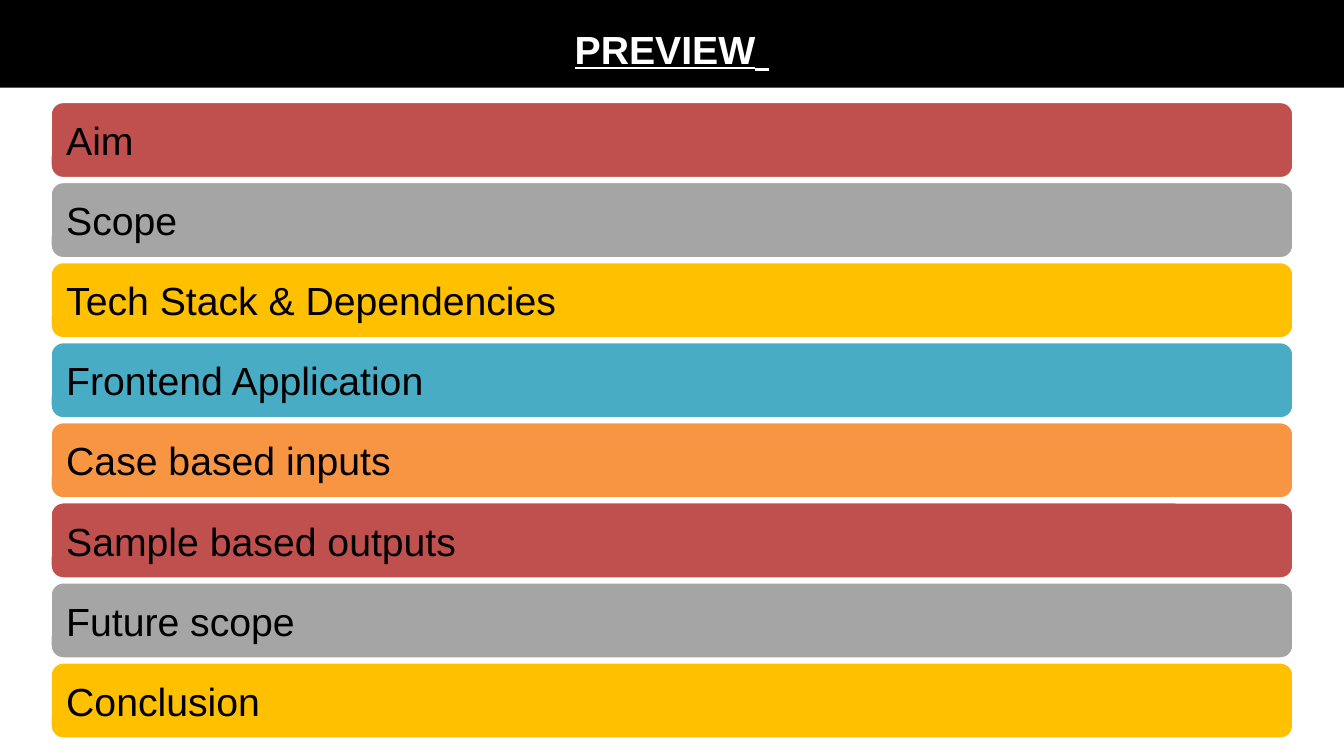
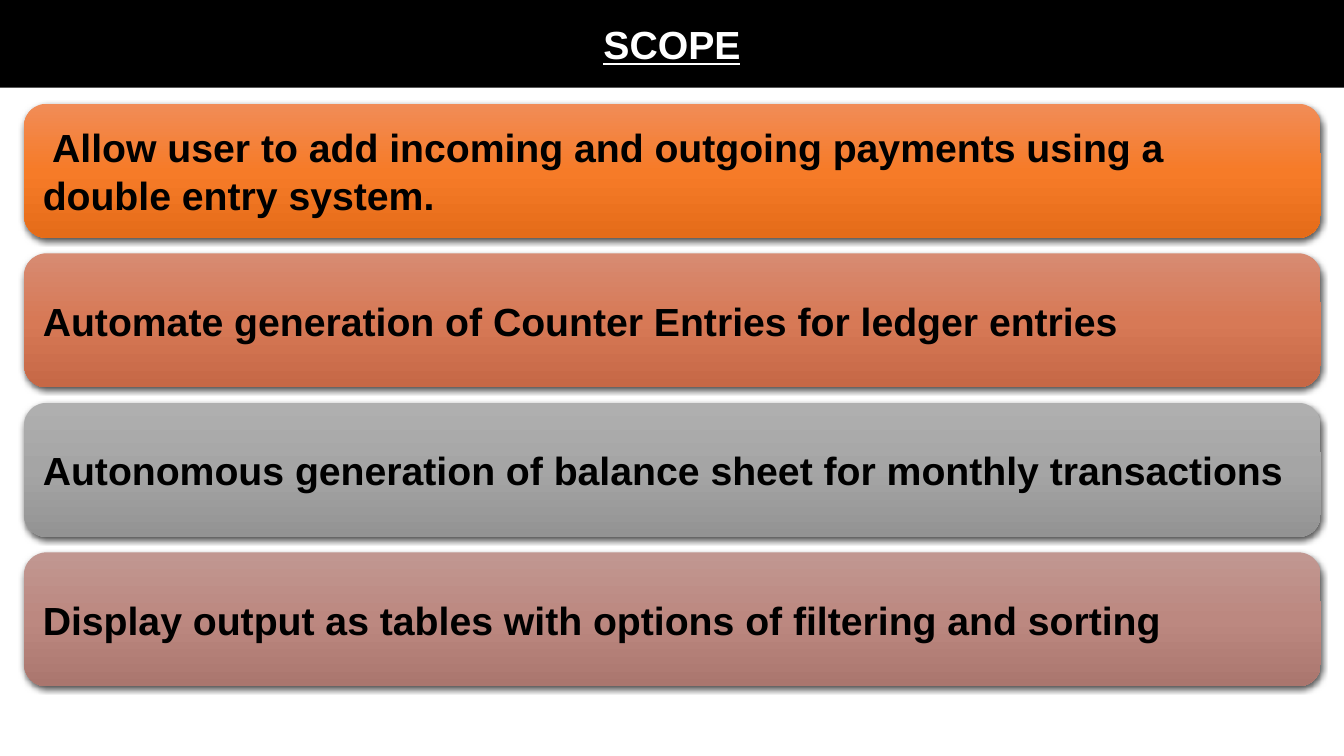
"""Build the preview and scope slides as stacks of coloured bars."""
import copy

import lxml.etree
import pptx
import pptx.dml.color
import pptx.enum.shapes
import pptx.enum.text
import pptx.oxml.ns
import pptx.util

Inches = pptx.util.Inches
Pt = pptx.util.Pt
RGB = pptx.dml.color.RGBColor.from_string
qn = pptx.oxml.ns.qn
ALIGN = pptx.enum.text.PP_ALIGN
MIDDLE = pptx.enum.text.MSO_ANCHOR.MIDDLE
NO_FIT = pptx.enum.text.MSO_AUTO_SIZE.NONE

COLORS = {
    "black": "000000",
    "white": "FFFFFF",
    "red": "BF504D",
    "gray": "A5A5A5",
    "gold": "FFC000",
    "teal": "49ACC5",
    "peach": "F79543",
    "orange": ["F18C57", "F67B28", "E56C19"],
    "coral": ["D78B72", "D77956", "C66846"],
    "silver": ["AFAFAF", "A5A5A5", "939393"],
    "rose": ["C19791", "BC8880", "AA766E"],
}
TITLE_FONT = {"name": "Arial", "size": Pt(28), "bold": True, "underline": True}
TITLE_BOX = {"left": 0, "top": 0, "width": Inches(13.33), "height": Inches(0.87)}
FRAME = {"word_wrap": True, "auto_size": NO_FIT, "vertical_anchor": MIDDLE}
INSETS = dict.fromkeys(
    ["margin_left", "margin_top", "margin_right", "margin_bottom"], Inches(0.12))

SLIDES = [
    {"title": [("PREVIEW", 28), (" ", 36)],
     "left": 0.5, "width": 12.33, "height": 0.76, "first": 1.01, "last": 6.57,
     "bold": False,
     "bars": [("Aim", "red"),
              ("Scope", "gray"),
              ("Tech Stack & Dependencies", "gold"),
              ("Frontend Application", "teal"),
              ("Case based inputs", "peach"),
              ("Sample based outputs", "red"),
              ("Future scope", "gray"),
              ("Conclusion", "gold")]},
    {"title": [("SCOPE", 28)],
     "left": 0.24, "width": 12.86, "height": 1.33, "first": 1.03, "last": 5.48,
     "bold": True,
     "bars": [(" Allow user to add incoming and outgoing payments"
               " using a double entry system.", "orange"),
              ("Automate generation of Counter Entries for ledger entries", "coral"),
              ("Autonomous generation of balance sheet for monthly transactions",
               "silver"),
              ("Display output as tables with options of filtering and sorting",
               "rose")]},
]


def style(target, values):
    """Set each attribute in values on the target."""
    for name, value in values.items():
        setattr(target, name, value)


def shade(bar, tones):
    """Give a bar a three-tone fill from top to bottom and a soft shadow."""
    bar.fill.gradient()
    bar.fill.gradient_angle = 270
    stops = bar.element.find(".//" + qn("a:gsLst"))
    stops.append(copy.deepcopy(stops[0]))
    for index, stop in enumerate(bar.fill.gradient_stops):
        stop.position = index / 2
        stop.color.rgb = RGB(tones[index])
    effects = bar.element.find(".//" + qn("a:effectLst"))
    shadow = lxml.etree.SubElement(
        effects, qn("a:outerShdw"), blurRad=str(Pt(4.5)), dist=str(Pt(1.5)),
        dir="5400000", algn="ctr", rotWithShape="0")
    color = lxml.etree.SubElement(shadow, qn("a:srgbClr"), val=COLORS["black"])
    lxml.etree.SubElement(color, qn("a:alpha"), val="63000")


deck = pptx.Presentation()
style(deck, {"slide_width": Inches(13.33), "slide_height": Inches(7.5)})

for page in SLIDES:
    slide = deck.slides.add_slide(deck.slide_layouts[5])
    title = slide.shapes.title
    style(title, TITLE_BOX)
    title.fill.solid()
    title.fill.fore_color.rgb = RGB(COLORS["black"])
    style(title.text_frame, FRAME)
    line = title.text_frame.paragraphs[0]
    line.alignment = ALIGN.CENTER
    for text, size in page["title"]:
        run = line.add_run()
        run.text = text
        style(run.font, {**TITLE_FONT, "size": Pt(size)})
        run.font.color.rgb = RGB(COLORS["white"])

    step = (page["last"] - page["first"]) / (len(page["bars"]) - 1)
    for index, (text, tone) in enumerate(page["bars"]):
        bar = slide.shapes.add_shape(
            pptx.enum.shapes.MSO_SHAPE.ROUNDED_RECTANGLE,
            Inches(page["left"]), Inches(page["first"] + index * step),
            Inches(page["width"]), Inches(page["height"]))
        bar.shadow.inherit = False
        fill = COLORS[tone]
        if isinstance(fill, list):
            bar.line.fill.background()
            shade(bar, fill)
        else:
            bar.fill.solid()
            bar.fill.fore_color.rgb = RGB(fill)
            bar.line.color.rgb = RGB(COLORS["white"])
            bar.line.width = Pt(2)
        style(bar.text_frame, {**FRAME, **INSETS})
        label = bar.text_frame.paragraphs[0]
        label.text = text
        label.alignment = ALIGN.LEFT
        style(label.font, {"name": "Arial", "size": Pt(28), "bold": page["bold"]})
        label.font.color.rgb = RGB(COLORS["black"])

deck.save("out.pptx")
